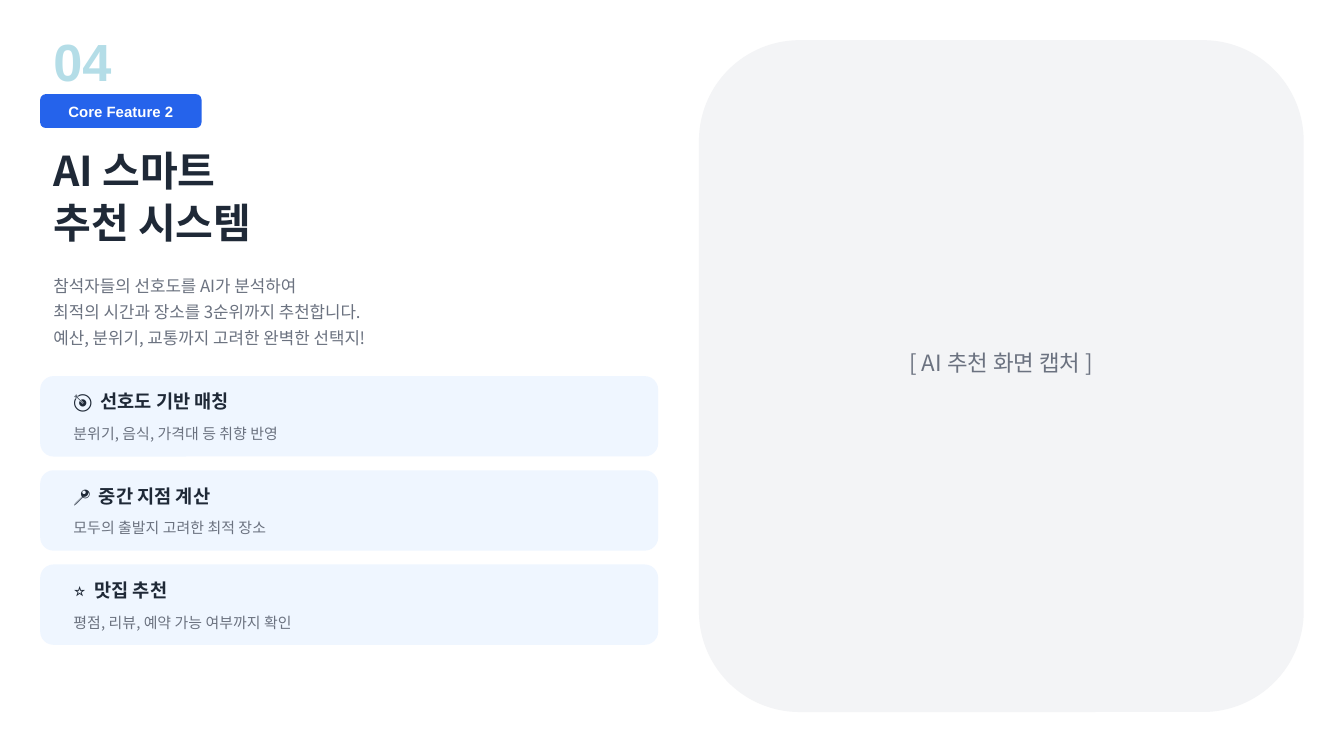
from collections import namedtuple
from lxml.etree import SubElement
from pptx import Presentation
from pptx.dml.color import RGBColor
from pptx.enum.shapes import MSO_SHAPE as Preset
from pptx.enum.text import MSO_ANCHOR as Anchor, PP_ALIGN as Align
from pptx.oxml.ns import qn
from pptx.util import Cm, Pt

Box = namedtuple("Box", "left top width height")

WHITE = RGBColor(0xFF, 0xFF, 0xFF)
TEAL = RGBColor(0x08, 0x91, 0xB2)
BLUE = RGBColor(0x25, 0x63, 0xEB)
PALE_BLUE = RGBColor(0xEF, 0xF6, 0xFF)
PALE_GRAY = RGBColor(0xF3, 0xF4, 0xF6)
GRAY = RGBColor(0x6B, 0x72, 0x80)
INK = RGBColor(0x1F, 0x29, 0x37)

LATIN = "Arial"
KOREAN = "Noto Sans CJK KR"

FEATURES = [
    ("🎯  선호도 기반 매칭", "분위기, 음식, 가격대 등 취향 반영"),
    ("📍  중간 지점 계산", "모두의 출발지 고려한 최적 장소"),
    ("⭐  맛집 추천", "평점, 리뷰, 예약 가능 여부까지 확인"),
]


def add_text(slide, box, text, size, color, font=KOREAN, bold=False,
             align=Align.LEFT, line_spacing=None, opacity=None):
    frame = slide.shapes.add_textbox(*map(Cm, box)).text_frame
    frame.word_wrap = True
    frame.vertical_anchor = Anchor.MIDDLE
    for index, line in enumerate(text.split("\n")):
        paragraph = frame.add_paragraph() if index else frame.paragraphs[0]
        paragraph.alignment = align
        if line_spacing:
            paragraph.line_spacing = Pt(line_spacing)
        run = paragraph.add_run()
        run.text = line
        run.font.size = Pt(size)
        run.font.bold = bold
        run.font.color.rgb = color
        run.font.name = font
        properties = run.font._element
        SubElement(properties, qn("a:ea"), typeface=font)
        if opacity:
            fill_color = properties.find(".//" + qn("a:srgbClr"))
            SubElement(fill_color, qn("a:alpha"), val=str(opacity * 1000))


def add_panel(slide, box, color):
    shape = slide.shapes.add_shape(Preset.ROUNDED_RECTANGLE, *map(Cm, box))
    shape.shadow.inherit = False
    shape.fill.solid()
    shape.fill.fore_color.rgb = color
    shape.line.fill.background()


def add_heading(slide, box):
    left, top, width, _ = box
    add_text(slide, Box(left, top, 2.03, 1.27), "04", 28, TEAL,
             font=LATIN, bold=True, opacity=30)
    add_panel(slide, Box(left, top + 1.27, 3.05, 0.64), BLUE)
    add_text(slide, Box(left, top + 1.32, 3.05, 0.56), "Core Feature 2", 8, WHITE,
             font=LATIN, bold=True, align=Align.CENTER)
    add_text(slide, Box(left, top + 2.16, width, 2.03), "AI 스마트\n추천 시스템",
             22, INK, bold=True, line_spacing=28)
    add_text(slide, Box(left, top + 4.32, width, 2.03),
             "참석자들의 선호도를 AI가 분석하여\n"
             "최적의 시간과 장소를 3순위까지 추천합니다.\n"
             "예산, 분위기, 교통까지 고려한 완벽한 선택지!",
             9, GRAY, line_spacing=14)


def add_feature_card(slide, box, title, detail):
    left, top, width, _ = box
    add_panel(slide, box, PALE_BLUE)
    add_text(slide, Box(left + 0.38, top + 0.2, width - 2.79, 0.56), title,
             10, INK, bold=True)
    add_text(slide, Box(left + 0.38, top + 0.81, width - 0.76, 0.56), detail,
             8, GRAY)


def add_feature_list(slide, box, features, gap=0.26):
    height = (box.height - gap * (len(features) - 1)) / len(features)
    for index, (title, detail) in enumerate(features):
        top = box.top + index * (height + gap)
        add_feature_card(slide, Box(box.left, top, box.width, height), title, detail)


def add_screen_area(slide, box, caption):
    add_panel(slide, box, PALE_GRAY)
    add_text(slide, Box(box.left, box.top + 5.59, box.width, 1.02), caption,
             12, GRAY, align=Align.CENTER)


def main():
    presentation = Presentation()
    presentation.slide_width = Cm(25.4)
    presentation.slide_height = Cm(14.29)
    slide = presentation.slides.add_slide(presentation.slide_layouts[6])
    slide.background.fill.solid()
    slide.background.fill.fore_color.rgb = WHITE
    add_heading(slide, Box(0.76, 0.51, 11.43, 6.35))
    add_feature_list(slide, Box(0.76, 7.11, 11.68, 5.08), FEATURES)
    add_screen_area(slide, Box(13.21, 0.76, 11.43, 12.7), "[ AI 추천 화면 캡처 ]")
    presentation.save("out.pptx")


if __name__ == "__main__":
    main()
